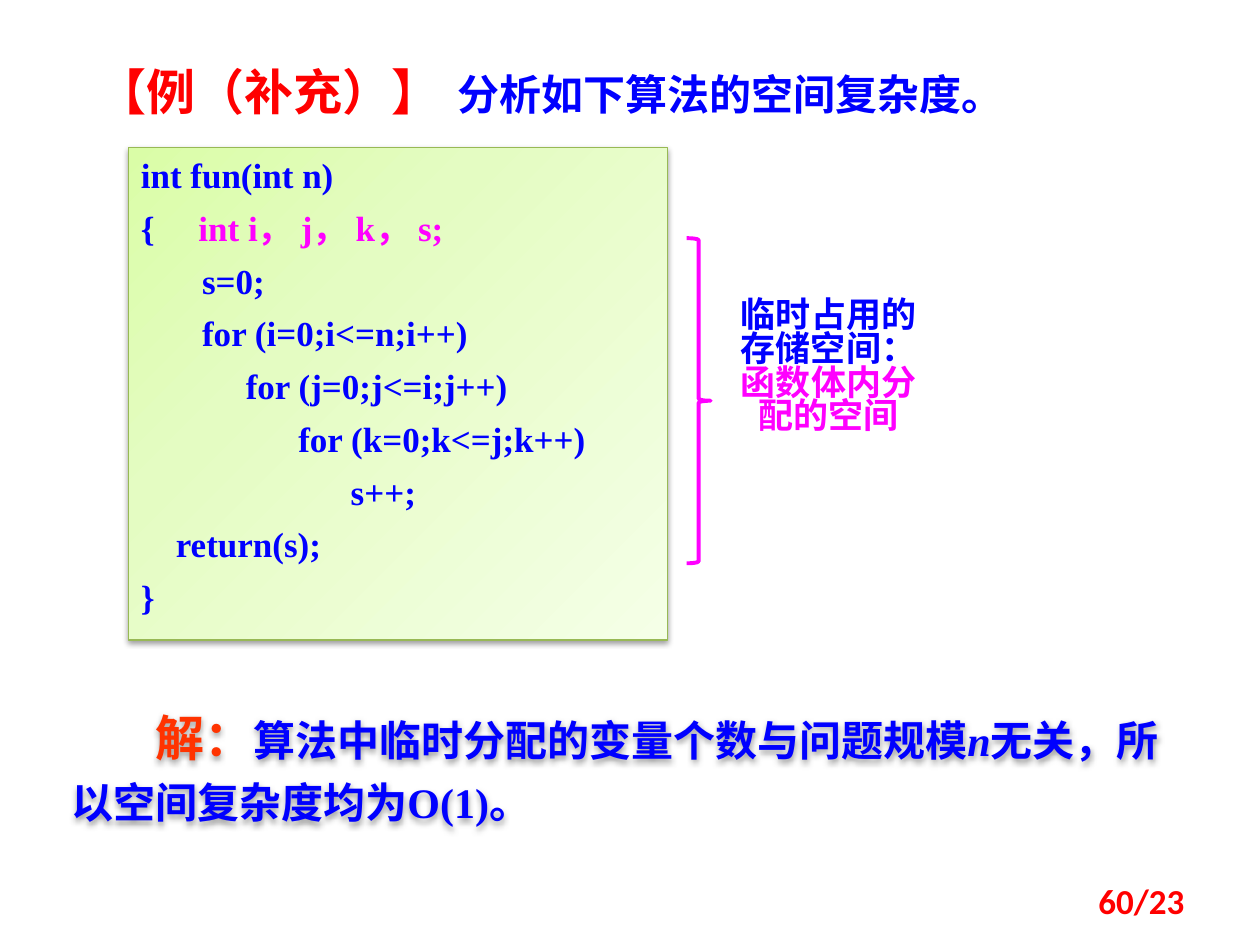
from pptx import Presentation
from pptx.dml.color import RGBColor
from pptx.enum.shapes import MSO_SHAPE as Shape
from pptx.enum.text import MSO_ANCHOR as Anchor, MSO_AUTO_SIZE as AutoSize, PP_ALIGN as Align
from pptx.oxml import parse_xml
from pptx.oxml.ns import nsdecls
from pptx.util import Pt

THEME = {
    "blue": "0000FF", "red": "FF0000", "orange": "FF3300", "magenta": "FF00FF",
    "code_border": "98B955",
    "code_gradient": [(0, "DAFDA7"), (35, "E4FCC2"), (100, "F5FFE7")],
    "serif": "Times New Roman", "sans": "Calibri",
    "lead": 28, "body": 24, "code": 20,
}

HEADING = [[("【例（补充）】", {"size": "lead", "color": "red"}),
            ("\t分析如下算法的空间复杂度。", {})]]
CODE = [
    [("int fun(int n)", {})],
    [("{     ", {}), ("int i， j， k， s;", {"color": "magenta"})],
    [("       s=0;", {})],
    [("       for (i=0;i<=n;i++)", {})],
    [("            for (j=0;j<=i;j++)", {})],
    [("                  for (k=0;k<=j;k++)", {})],
    [("                        s++;", {})],
    [("    return(s);", {})],
    [("}", {})],
]
SPACE_NOTE = [[("临时占用的存储空间：", {}),
               ("函数体内分配的空间", {"color": "magenta"})]]
SOLUTION = [[("解：", {"size": "lead", "color": "orange"}),
             ("算法中临时分配的变量个数与问题规模", {}),
             ("n", {"italic": True}),
             ("无关，所以空间复杂度均为O(1)。", {})]]
PAGE_NUMBER = [[("60/23", {})]]


def rgb(name):
    return RGBColor.from_string(THEME[name])


def write(shape, paragraphs, size="body", color="blue", font="serif", align=Align.LEFT,
          anchor=Anchor.TOP, spacing=1.0, first_spacing=None, gap=0, indent=0, tab=None,
          left_inset=7.2):
    frame = shape.text_frame
    frame.word_wrap = True
    frame.auto_size = AutoSize.NONE
    frame.vertical_anchor = anchor
    frame.margin_left, frame.margin_right = Pt(left_inset), Pt(7.2)
    frame.margin_top = frame.margin_bottom = Pt(3.6)
    for index, runs in enumerate(paragraphs):
        paragraph = frame.add_paragraph() if index else frame.paragraphs[0]
        paragraph.alignment = align
        paragraph.line_spacing = spacing if index else first_spacing or spacing
        paragraph.space_before = Pt(gap if index else 0)
        properties = paragraph._p.get_or_add_pPr()
        if indent:
            properties.set("indent", str(Pt(indent)))
        if tab:
            properties.append(parse_xml(
                f'<a:tabLst {nsdecls("a")}><a:tab pos="{Pt(tab)}" algn="l"/></a:tabLst>'))
        for text, style in runs:
            run = paragraph.add_run()
            run.text = text
            run.font.name = THEME[font]
            run.font.size = Pt(THEME[style.get("size", size)])
            run.font.color.rgb = rgb(style.get("color", color))
            run.font.bold = True
            run.font.italic = style.get("italic", False)


def add_soft_shadow(shape):
    shape.shadow.inherit = False
    effects = shape._element.spPr.find("{*}effectLst")
    effects.append(parse_xml(
        f'<a:outerShdw {nsdecls("a")} blurRad="{Pt(3.1)}" dist="{Pt(1.6)}" dir="5400000" '
        'rotWithShape="0"><a:srgbClr val="000000"><a:alpha val="38000"/></a:srgbClr>'
        '</a:outerShdw>'))


def fill_gradient(shape, stops):
    shape.fill.background()
    properties = shape._element.spPr
    stop_xml = "".join(f'<a:gs pos="{percent * 1000}"><a:srgbClr val="{color}"/></a:gs>'
                       for percent, color in stops)
    properties.replace(properties.find("{*}noFill"), parse_xml(
        f'<a:gradFill {nsdecls("a")} rotWithShape="1"><a:gsLst>{stop_xml}</a:gsLst>'
        '<a:lin ang="2700000" scaled="0"/></a:gradFill>'))


def box(*lengths):
    return [Pt(length) for length in lengths]


def main():
    deck = Presentation()
    deck.slide_width, deck.slide_height = Pt(720), Pt(540)
    slide = deck.slides.add_slide(deck.slide_layouts[5])
    shapes = slide.shapes

    heading = shapes.title
    heading.left, heading.top, heading.width, heading.height = box(42.5, 31.7, 553.7, 41)
    write(heading, HEADING, left_inset=13.2, tab=205.5)

    solution = shapes.add_textbox(*box(33.8, 393.8, 652.3, 82.8))
    write(solution, SOLUTION, spacing=1.2, indent=48)
    add_soft_shadow(solution)

    code = shapes.add_shape(Shape.RECTANGLE, *box(73.4, 84.2, 308.2, 281.5))
    fill_gradient(code, THEME["code_gradient"])
    code.line.color.rgb = rgb("code_border")
    code.line.width = Pt(0.75)
    add_soft_shadow(code)
    write(code, CODE, size="code", align=Align.JUSTIFY, spacing=0.8, first_spacing=1.0, gap=10.9)

    brace = shapes.add_shape(Shape.RIGHT_BRACE, *box(392.4, 136.1, 13.7, 185.8))
    brace.fill.background()
    brace.line.color.rgb = rgb("magenta")
    brace.line.width = Pt(2.25)
    brace.shadow.inherit = False

    space_note = shapes.add_textbox(*box(412.6, 168.5, 121.7, 113.8))
    write(space_note, SPACE_NOTE, size="code", align=Align.CENTER, spacing=0.8)

    page_number = shapes.add_textbox(*box(516.2, 500.4, 167.8, 28.8))
    write(page_number, PAGE_NUMBER, size="code", color="red", font="sans",
          align=Align.RIGHT, anchor=Anchor.MIDDLE)

    deck.save("out.pptx")


if __name__ == "__main__":
    main()
